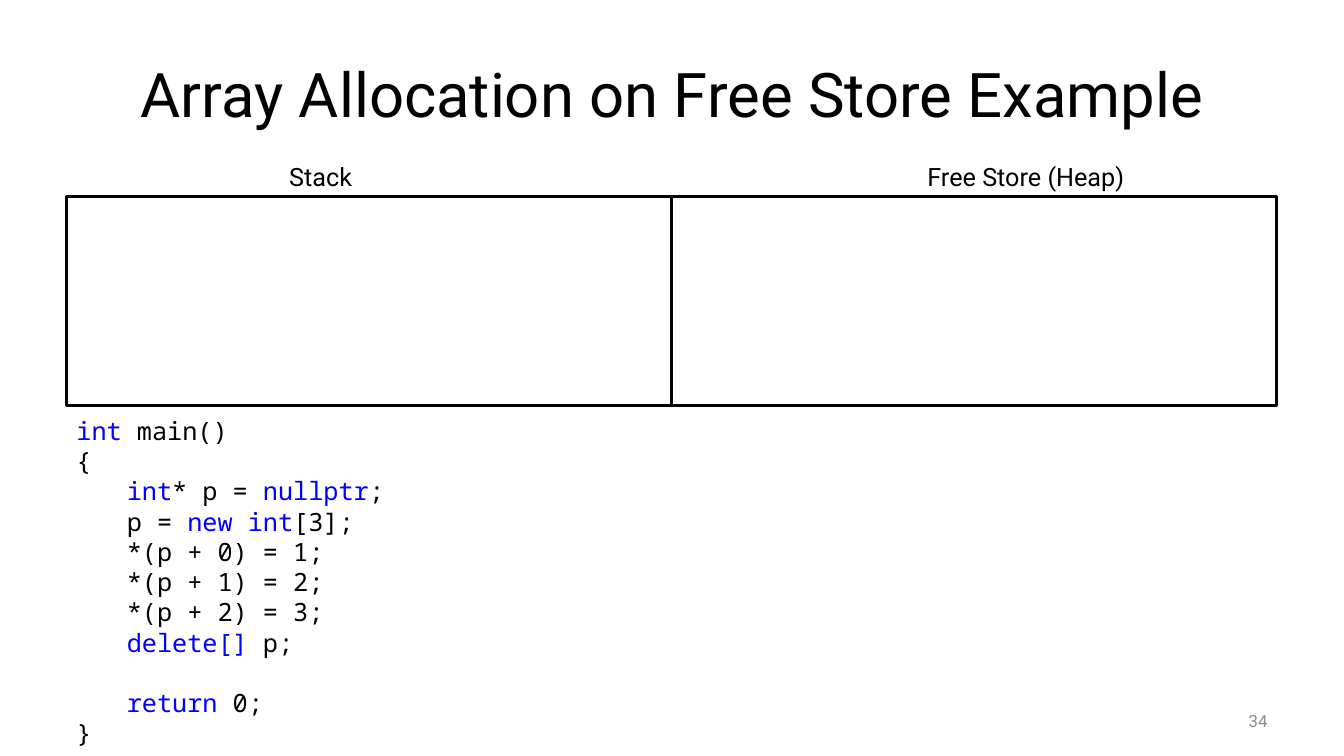
from dataclasses import dataclass

from pptx import Presentation
from pptx.dml.color import RGBColor
from pptx.enum.shapes import MSO_SHAPE
from pptx.enum.text import MSO_ANCHOR, PP_ALIGN
from pptx.slide import Slide
from pptx.text.text import Font
from pptx.util import Inches, Pt

BLACK = "000000"
BLUE = "0000FF"
WHITE = "FFFFFF"
GRAY = "8C8C8C"
LEFT = 0.66
TOP = 1.95
WIDTH = 6
HEIGHT = 2.07


@dataclass
class Label:
    text: str
    left: float
    top: float
    width: float
    height: float
    size: int = 18
    color: str = BLACK
    align: PP_ALIGN = PP_ALIGN.LEFT
    anchor: MSO_ANCHOR = MSO_ANCHOR.TOP


@dataclass
class Line:
    tokens: list[tuple[str, str]]
    level: int = 0
    gap: float = 0


LABELS = [
    Label("Array Allocation on Free Store Example", 0.67, 0.3, 12, 1.25,
          44, BLACK, PP_ALIGN.CENTER, MSO_ANCHOR.MIDDLE),
    Label("34", 9.56, 6.95, 3.11, 0.4, 12, GRAY, PP_ALIGN.RIGHT, MSO_ANCHOR.MIDDLE),
    Label("Stack", 2.77, 1.55, 1.21, 0.4),
    Label("Free Store (Heap)", 9.1, 1.55, 2.53, 0.4),
]

CODE = [
    Line([("int ", BLUE), ("main()", BLACK)]),
    Line([("{", BLACK)]),
    Line([("int", BLUE), ("* p = ", BLACK), ("nullptr", BLUE), (";", BLACK)], 1),
    Line([("p = ", BLACK), ("new int", BLUE), ("[3];", BLACK)], 1),
    *[Line([(f"*(p + {i}) = {i + 1};", BLACK)], 1) for i in range(3)],
    Line([("delete[]", BLUE), (" p;", BLACK)], 1),
    Line([("return", BLUE), (" 0;", BLACK)], 1, 21.7),
    Line([("}", BLACK)]),
]


def paint(color: str) -> RGBColor:
    return RGBColor.from_string(color)


def style(font: Font, name: str, size: int, color: str) -> None:
    font.name = name
    font.size = Pt(size)
    font.color.rgb = paint(color)


def add_label(slide: Slide, label: Label) -> None:
    box = slide.shapes.add_textbox(Inches(label.left), Inches(label.top),
                                   Inches(label.width), Inches(label.height))
    frame = box.text_frame
    frame.word_wrap = True
    frame.vertical_anchor = label.anchor
    frame.text = label.text
    para = frame.paragraphs[0]
    para.alignment = label.align
    style(para.runs[0].font, "Roboto", label.size, label.color)


def add_store(slide: Slide, left: float) -> None:
    store = slide.shapes.add_shape(MSO_SHAPE.RECTANGLE, Inches(left), Inches(TOP),
                                   Inches(WIDTH), Inches(HEIGHT))
    store.shadow.inherit = False
    store.fill.solid()
    store.fill.fore_color.rgb = paint(WHITE)
    store.line.color.rgb = paint(BLACK)
    store.line.width = Pt(2)


def add_code(slide: Slide, lines: list[Line]) -> None:
    box = slide.shapes.add_textbox(Inches(LEFT), Inches(4.07), Inches(12), Inches(3.43))
    frame = box.text_frame
    frame.word_wrap = True
    for i, line in enumerate(lines):
        para = frame.add_paragraph() if i else frame.paragraphs[0]
        para.level = line.level
        props = para._p.get_or_add_pPr()
        props.set("marL", str(Inches(0.5 * line.level)))
        props.set("indent", "0")
        if line.gap:
            para.space_before = Pt(line.gap)
        for text, color in line.tokens:
            run = para.add_run()
            run.text = text
            style(run.font, "Noto Sans Mono", 18, color)


def main() -> None:
    deck = Presentation()
    deck.slide_width = Inches(13.33)
    deck.slide_height = Inches(7.5)
    slide = deck.slides.add_slide(deck.slide_layouts[6])
    for i in range(2):
        add_store(slide, LEFT + i * WIDTH)
    for label in LABELS:
        add_label(slide, label)
    add_code(slide, CODE)
    deck.save("out.pptx")


if __name__ == "__main__":
    main()
